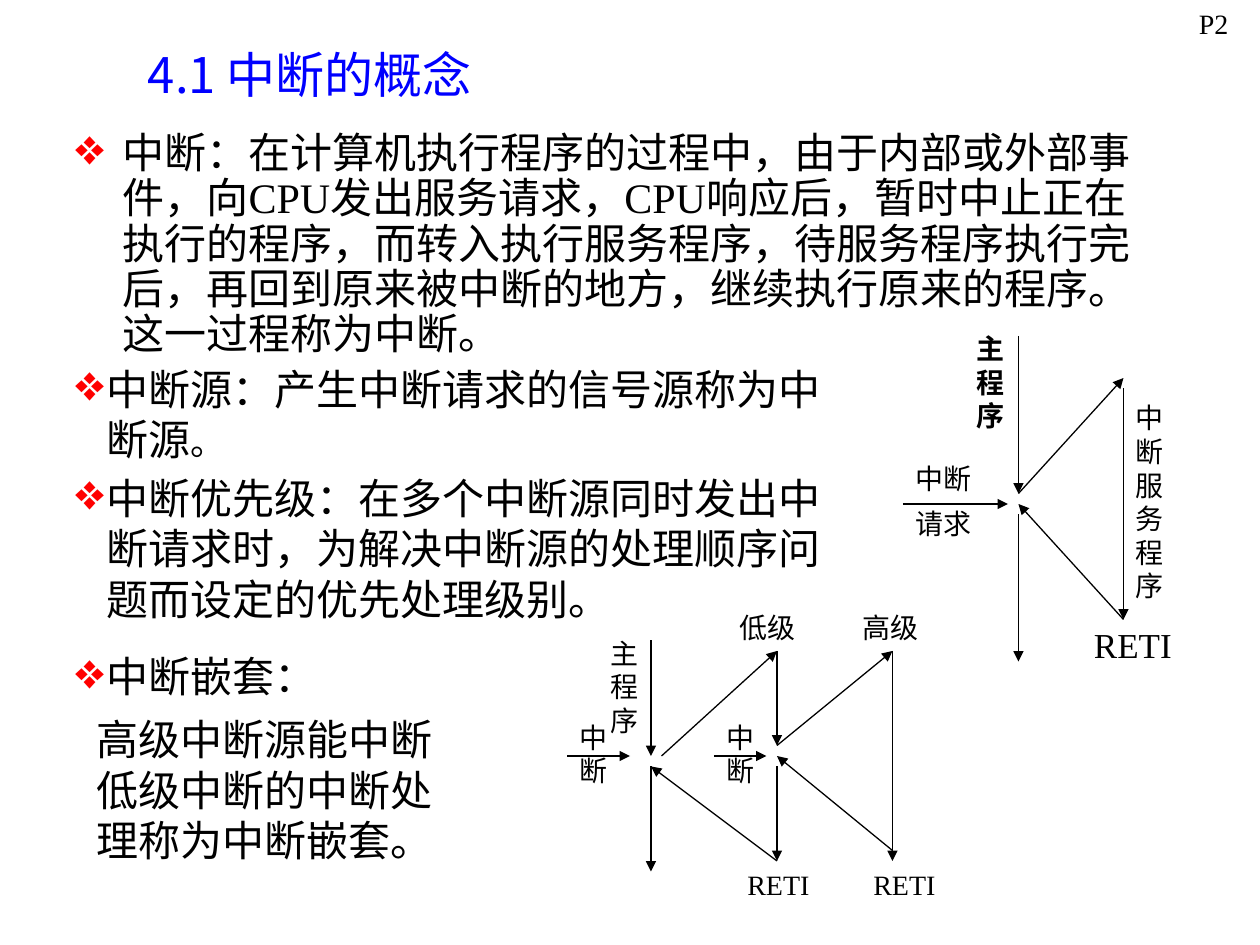
from lxml import etree
from pptx import Presentation
from pptx import util as u
from pptx.dml.color import RGBColor
from pptx.enum import shapes, text
from pptx.oxml.ns import qn

BLACK = RGBColor(0, 0, 0)
BLUE = RGBColor(0, 0, 255)
RED = RGBColor(255, 0, 0)
LATIN = "Times New Roman"
HAN = "Noto Sans CJK SC"


def add_span(para, words, size=16, color=BLACK, font=LATIN, bold=False):
    span = para.add_run()
    span.text = words
    span.font.size = u.Pt(size)
    span.font.bold = bold
    span.font.color.rgb = color
    span.font.name = font
    etree.SubElement(span._r.get_or_add_rPr(), qn("a:ea"), typeface=HAN)


class Sketch:
    line_width = 0.75
    bullet = "❖"

    def __init__(self, page):
        self.page = page

    def label(self, left, top, width, height, *lines, spacing=None, gap=10,
              align=None, anchor=text.MSO_ANCHOR.TOP, **style):
        box = self.page.shapes.add_textbox(*map(u.Pt, (left, top, width, height)))
        frame = box.text_frame
        frame.word_wrap = True
        frame.vertical_anchor = anchor
        for index, words in enumerate(lines):
            para = frame.add_paragraph() if index else frame.paragraphs[0]
            if index:
                para.space_before = u.Pt(gap)
            para.line_spacing = spacing
            para.alignment = align
            add_span(para, words, **style)
        return frame.paragraphs[0]

    def bulleted(self, left, top, width, height, words, indent=18, **style):
        para = self.label(left, top, width, height, words, size=24, **style)
        props = para._p.get_or_add_pPr()
        props.set("marL", str(u.Pt(indent)))
        props.set("indent", str(-u.Pt(indent)))
        color = etree.SubElement(props, qn("a:buClr"))
        etree.SubElement(color, qn("a:srgbClr"), val=str(RED))
        etree.SubElement(props, qn("a:buSzPct"), val="120000")
        etree.SubElement(props, qn("a:buChar"), char=self.bullet)
        return para

    def arrow(self, *ends):
        line = self.page.shapes.add_connector(
            shapes.MSO_CONNECTOR.STRAIGHT, *map(u.Pt, ends))
        line.line.color.rgb = BLACK
        line.line.width = u.Pt(self.line_width)
        etree.SubElement(line.line._get_or_add_ln(), qn("a:tailEnd"), type="triangle")
        etree.SubElement(line._element.spPr, qn("a:effectLst"))


def draw_definitions(sketch):
    sketch.label(54, 24, 246, 36, "4.1 中断的概念", size=28, color=BLUE, font=HAN,
                 align=text.PP_ALIGN.CENTER, anchor=text.MSO_ANCHOR.MIDDLE)
    sketch.bulleted(
        36, 72, 618, 144,
        "中断：在计算机执行程序的过程中，由于内部或外部事件，向CPU发出服务请求，"
        "CPU响应后，暂时中止正在执行的程序，而转入执行服务程序，待服务程序执行完后，"
        "再回到原来被中断的地方，继续执行原来的程序。这一过程称为中断。",
        indent=27, spacing=0.9)
    source = sketch.bulleted(36, 204, 444, 65, "中断源：产生中断请求的信号源称为中断源")
    add_span(source, "。", size=20)
    sketch.bulleted(
        36, 266.4, 462, 94,
        "中断优先级：在多个中断源同时发出中断请求时，"
        "为解决中断源的处理顺序问题而设定的优先处理级别。", font=HAN)
    sketch.bulleted(36, 368.4, 186, 36, "中断嵌套：")
    sketch.label(48, 404.4, 210, 94,
                 "高级中断源能中断低级中断的中断处理称为中断嵌套。", size=24)
    sketch.label(678, 0, 54, 26.6, "P2")


def draw_single_interrupt(sketch):
    main, service = 582, 642
    for ends in (
        (main, 192, main, 282),
        (516, 288, 576, 288),
        (service, 222, service, 354),
        (main, 294, main, 378),
        (main, 282, service, 216),
        (service, 354, main, 288),
    ):
        sketch.arrow(*ends)
    sketch.label(516, 264, 54, 48, "中断", "请求", spacing=0.8)
    sketch.label(551, 186, 31, 65, "主程序", bold=True)
    sketch.label(service, 225.6, 24, 122, "中断服务程序")
    sketch.label(618, 352.8, 60, 31.7, "RETI", size=20)


def draw_nested_interrupts(sketch):
    main, low, high = 372, 444, 510
    for ends in (
        (main, 366, main, 432),
        (main, 438, main, 498),
        (low, 372, low, 426),
        (low, 438, low, 492),
        (high, 372, high, 492),
        (378, 432, low, 372),
        (low, 426, high, 372),
        (high, 486, low, 432),
        (low, 492, main, 438),
        (324, 432, 360, 432),
        (408, 432, 438, 432),
    ):
        sketch.arrow(*ends)
    sketch.label(486, 345.6, 48, 26.6, "高级")
    sketch.label(415.5, 345.6, 52.5, 26.6, "低级")
    sketch.label(342, 360, 30, 65, "主程序")
    for left in (420, 492):
        sketch.label(left, 492, 54, 26.6, "RETI")
    for left, width in ((408, 30), (324, 42)):
        sketch.label(left, 408, width, 46, "中断")


def main():
    deck = Presentation()
    deck.slide_width, deck.slide_height = u.Pt(720), u.Pt(540)
    sketch = Sketch(deck.slides.add_slide(deck.slide_layouts[6]))
    draw_definitions(sketch)
    draw_single_interrupt(sketch)
    draw_nested_interrupts(sketch)
    deck.save("out.pptx")


if __name__ == "__main__":
    main()
